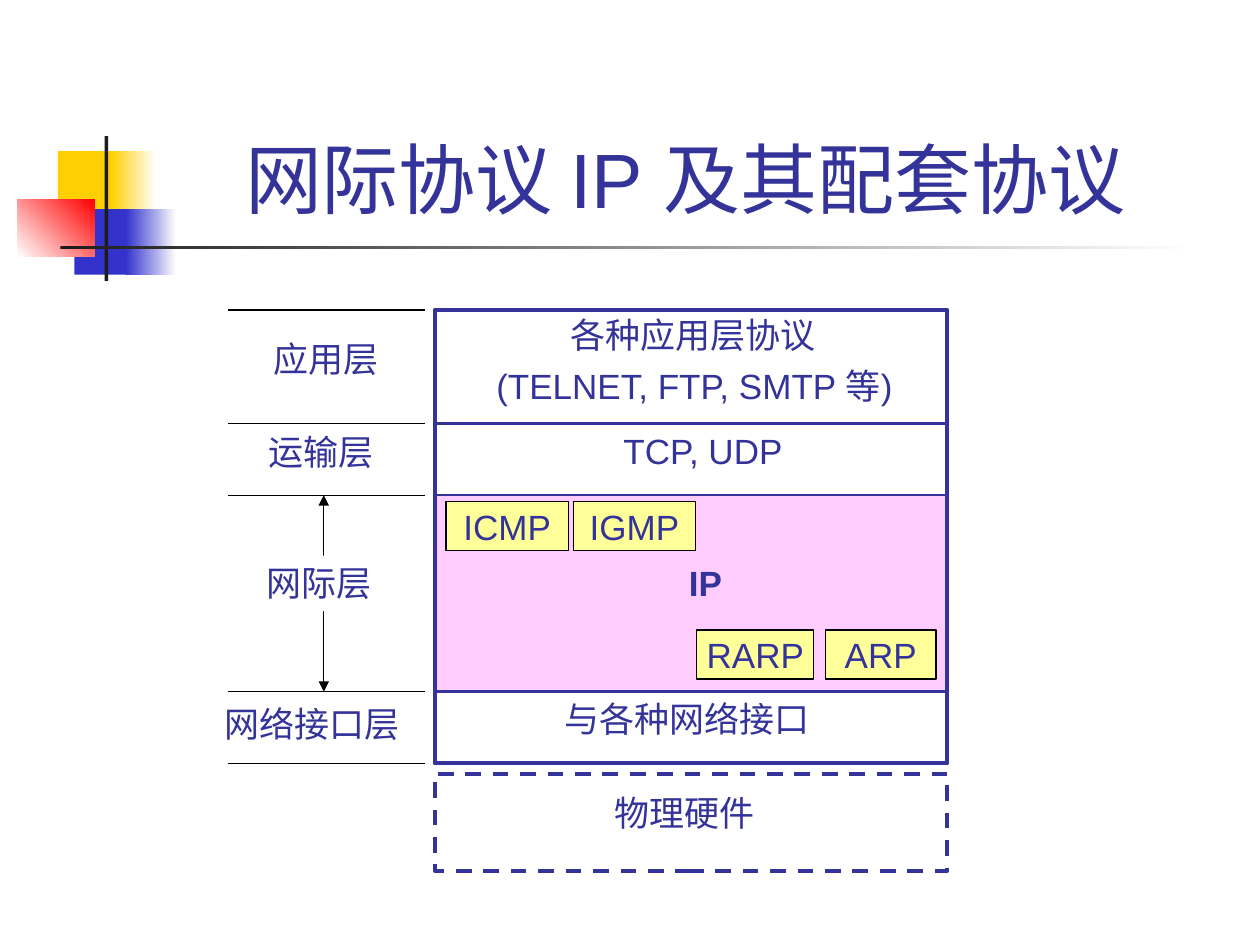
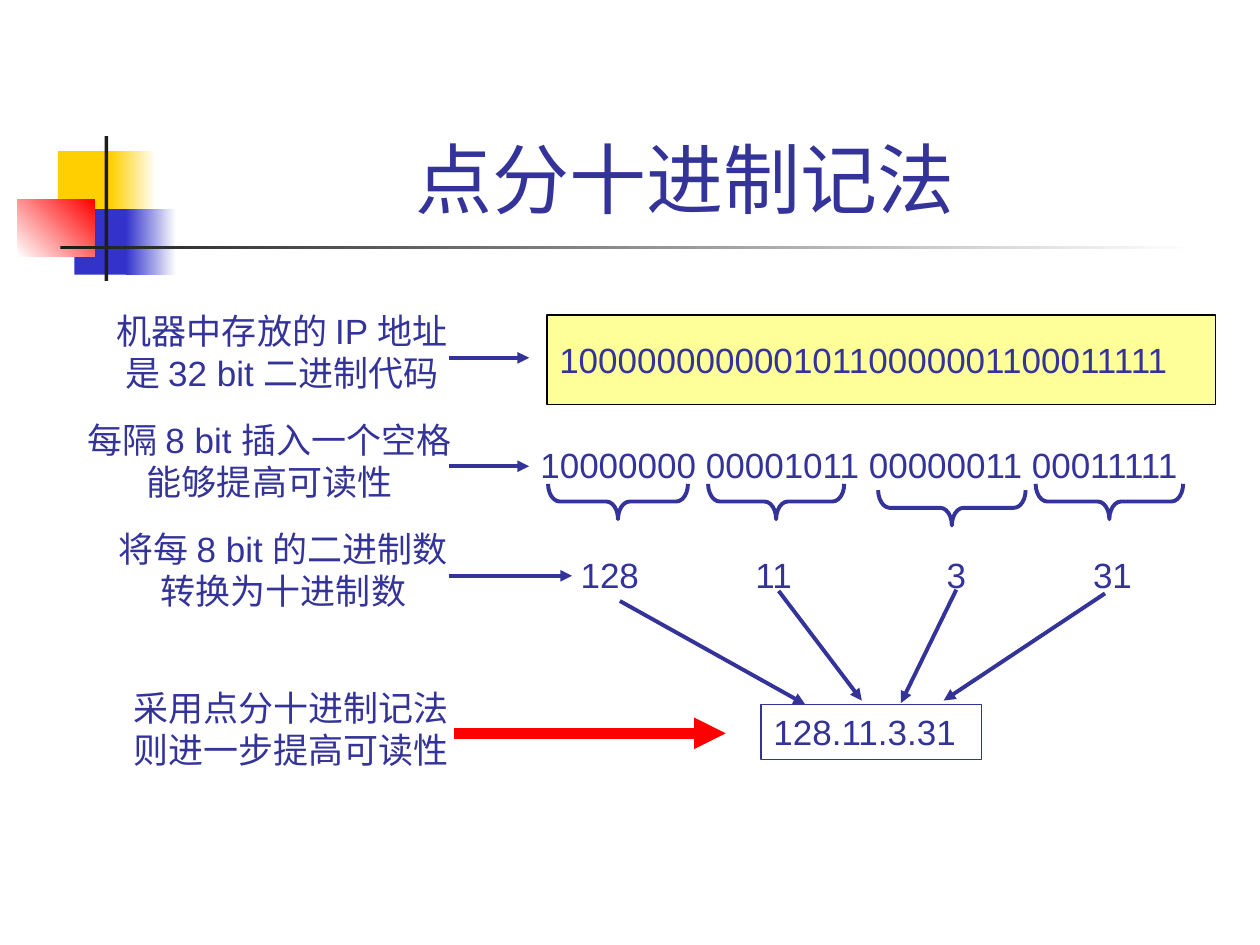
from dataclasses import dataclass

import pptx
import pptx.dml.color
import pptx.enum.dml
import pptx.enum.shapes
import pptx.enum.text
import pptx.oxml
import pptx.oxml.ns
import pptx.util
from pptx.util import Inches

SHAPE = pptx.enum.shapes.MSO_SHAPE
ALIGN = pptx.enum.text.PP_ALIGN
ANCHOR = pptx.enum.text.MSO_ANCHOR


@dataclass(frozen=True)
class Theme:
    """Colours, font and type sizes of the deck."""
    ink: str = "333399"
    black: str = "000000"
    white: str = "FFFFFF"
    charcoal: str = "1C1C1C"
    gold: str = "FFCF01"
    blue: str = "3333CC"
    red: str = "FF0000"
    pink: str = "FFCCFF"
    cream: str = "FFFF99"
    font: str = "Arial"
    title_size: int = 44
    body_size: int = 20
    thin: float = 0.75
    medium: float = 1.5
    thick: float = 2.25
    heavy: float = 6


@dataclass(frozen=True)
class Box:
    """A region in inches."""
    left: float
    top: float
    width: float
    height: float

    def inner(self, x, y, width, height):
        """Return a box placed relative to this one."""
        return Box(self.left + x, self.top + y, width, height)

    def inches(self):
        """Return left, top, width and height as lengths."""
        return [Inches(n) for n in (self.left, self.top, self.width, self.height)]


THEME = Theme()


def rgb(colour):
    """Turn a hex string into a colour."""
    return pptx.dml.color.RGBColor.from_string(colour)


def write(shape, text, align=ALIGN.LEFT, anchor=ANCHOR.TOP, size=THEME.body_size, bold=False):
    """Fill a shape with unwrapped text in the deck's style."""
    frame = shape.text_frame
    frame.word_wrap = False
    frame.auto_size = pptx.enum.text.MSO_AUTO_SIZE.NONE
    frame.vertical_anchor = anchor
    frame.text = text
    for paragraph in frame.paragraphs:
        paragraph.alignment = align
        paragraph.font.name = THEME.font
        paragraph.font.size = pptx.util.Pt(size)
        paragraph.font.bold = bold
        paragraph.font.color.rgb = rgb(THEME.ink)


def add_label(slide, box, text, **style):
    """Add a text box."""
    label = slide.shapes.add_textbox(*box.inches())
    write(label, text, **style)


def add_block(slide, box, fill=None, line=None, width=THEME.thin, kind=SHAPE.RECTANGLE):
    """Add a flat shape with an optional fill and outline."""
    block = slide.shapes.add_shape(kind, *box.inches())
    block.shadow.inherit = False
    if fill:
        block.fill.solid()
        block.fill.fore_color.rgb = rgb(fill)
    else:
        block.fill.background()
    if line:
        block.line.color.rgb = rgb(line)
        block.line.width = pptx.util.Pt(width)
    else:
        block.line.fill.background()
    return block


def add_fade(slide, box, start, end, angle=0):
    """Add a borderless block with a linear gradient."""
    block = add_block(slide, box)
    block.fill.gradient()
    block.fill.gradient_angle = angle
    for stop, colour in zip(block.fill.gradient_stops, (start, end)):
        stop.color.rgb = rgb(colour)


def add_line(slide, start, end, colour, width, arrows=()):
    """Add a straight line with arrowheads at the named ends."""
    points = [Inches(n) for n in (*start, *end)]
    line = slide.shapes.add_connector(pptx.enum.shapes.MSO_CONNECTOR.STRAIGHT, *points)
    line.line.color.rgb = rgb(colour)
    line.line.width = pptx.util.Pt(width)
    properties = line.element.spPr
    outline = properties.find(pptx.oxml.ns.qn("a:ln"))
    for tag in arrows:
        head = pptx.oxml.parse_xml(f'<a:{tag} {pptx.oxml.ns.nsdecls("a")} type="triangle"/>')
        outline.append(head)
    properties.append(pptx.oxml.parse_xml(f'<a:effectLst {pptx.oxml.ns.nsdecls("a")}/>'))


def draw_emblem(slide, box):
    """Draw the overlapping squares and the crossing bars."""
    add_block(slide, box.inner(0.32, 0.12, 0.48, 0.52), THEME.gold)
    add_fade(slide, box.inner(0.74, 0.12, 0.36, 0.52), THEME.gold, THEME.white)
    add_block(slide, box.inner(0.45, 0.58, 0.46, 0.52), THEME.blue)
    add_fade(slide, box.inner(0.86, 0.58, 0.4, 0.52), THEME.blue, THEME.white)
    add_fade(slide, box.inner(0, 0.5, 0.61, 0.46), THEME.white, THEME.red, 45)
    add_block(slide, box.inner(0.69, 0, 0.03, box.height), THEME.charcoal)
    add_fade(slide, box.inner(0.34, 0.87, 9, 0.03), THEME.charcoal, THEME.white)


def add_titled_slide(deck, text):
    """Add a title-only slide with the emblem and the styled title."""
    slide = deck.slides.add_slide(deck.slide_layouts[5])
    draw_emblem(slide, Box(0.14, 1.08, 9.34, 1.15))
    title = slide.shapes.title
    title.left, title.top, title.width, title.height = Box(1.18, 0.23, 8.52, 1.6).inches()
    write(title, text, ALIGN.CENTER, ANCHOR.BOTTOM, THEME.title_size)
    title.text_frame.word_wrap = True
    return slide


LAYER_EDGES = (0, 0.9, 1.47, 3.03, 3.6)


def draw_layer_names(slide, box):
    """Draw the layer names between their thin rules."""
    for edge in LAYER_EDGES:
        y = box.top + edge
        add_line(slide, (box.left, y), (box.left + box.width, y), THEME.black, THEME.thin)
    x = box.left + 0.76
    add_line(slide, (x, box.top + LAYER_EDGES[2]), (x, box.top + LAYER_EDGES[3]),
             THEME.black, THEME.thin, ("headEnd", "tailEnd"))
    add_block(slide, box.inner(0.21, 1.95, 1.03, 0.44), THEME.white)
    names = (("应用层", 0.26, 0.17, 1.03), ("运输层", 0.22, 0.91, 1.03),
             ("网际层", 0.21, 1.95, 1.03), ("网络接口层", -0.13, 3.07, 1.59))
    for name, left, top, width in names:
        add_label(slide, box.inner(left, top, width, 0.44), name)


def draw_protocol_stack(slide, box):
    """Draw the protocols of each layer and the hardware below."""
    internet_top, internet_bottom = LAYER_EDGES[2:4]
    add_block(slide, box.inner(0, internet_top, box.width, internet_bottom - internet_top), THEME.pink)
    add_block(slide, box, line=THEME.ink, width=THEME.thick)
    for edge in LAYER_EDGES[1:-1]:
        y = box.top + edge
        add_line(slide, (box.left, y), (box.left + box.width, y), THEME.ink, THEME.medium)
    hardware = add_block(slide, box.inner(0, 3.68, box.width, 0.77), THEME.white, THEME.ink, THEME.thick)
    hardware.line.dash_style = pptx.enum.dml.MSO_LINE.DASH

    captions = (("各种应用层协议", 0.98, -0.02, 2.15), ("(TELNET, FTP, SMTP 等)", 0.39, 0.38, 3.55),
                ("TCP, UDP", 1.4, 0.9, 1.5), ("与各种网络接口", 0.93, 3.03, 2.15),
                ("物理硬件", 1.33, 3.77, 1.31))
    for caption, left, top, width in captions:
        add_label(slide, box.inner(left, top, width, 0.44), caption)
    add_label(slide, box.inner(1.92, 1.95, 0.46, 0.44), "IP", bold=True)

    companions = (("ICMP", 0.09, 1.52, 0.97), ("IGMP", 1.1, 1.52, 0.97),
                  ("RARP", 2.08, 2.54, 0.93), ("ARP", 3.1, 2.54, 0.88))
    for name, left, top, width in companions:
        companion = add_block(slide, box.inner(left, top, width, 0.39), THEME.cream, THEME.black)
        write(companion, name, ALIGN.CENTER, ANCHOR.MIDDLE)


def draw_steps(slide, box):
    """Draw the explanation of each step and its arrow."""
    steps = (("机器中存放的 IP 地址\n是 32 bit 二进制代码", 0.23, 0, 2.96, 0.64),
             ("每隔 8 bit 插入一个空格\n能够提高可读性", 0, 0.86, 3.22, 0.64),
             ("将每 8 bit 的二进制数\n转换为十进制数", 0.25, 1.73, 2.94, 0.98))
    for step, left, top, width, reach in steps:
        add_label(slide, box.inner(left, top, width, 0.77), step, align=ALIGN.CENTER)
        x, y = box.left + 3.03, box.top + top + 0.43
        add_line(slide, (x, y), (x + reach, y), THEME.ink, THEME.thick, ["tailEnd"])
    add_label(slide, box.inner(0.43, 2.99, 2.7, 0.77), "采用点分十进制记法\n则进一步提高可读性")
    x, y = box.left + 3.07, box.top + 3.41
    add_line(slide, (x, y), (x + 2.16, y), THEME.red, THEME.heavy, ["tailEnd"])


def draw_brace(slide, box):
    """Draw a downward brace that spans the box."""
    upright = box.inner((box.width - box.height) / 2, (box.height - box.width) / 2, box.height, box.width)
    brace = add_block(slide, upright, line=THEME.ink, width=THEME.thick, kind=SHAPE.LEFT_BRACE)
    brace.adjustments[0] = 0.33
    brace.rotation = 270


def draw_conversion(slide, box):
    """Draw the address from binary code to dotted decimal."""
    code = add_block(slide, box.inner(0.15, 0, 5.31, 0.71), THEME.cream, THEME.black)
    write(code, "10000000000010110000001100011111", anchor=ANCHOR.MIDDLE)
    add_label(slide, box.inner(0, 0.97, 5.46, 0.44), "10000000 00001011 00000011 00011111")

    braces = ((0.16, 1.34, 1.11), (1.43, 1.34, 1.08), (2.78, 1.39, 1.17), (4.03, 1.34, 1.17))
    decimals = (("128", 0.65), ("11", 1.95), ("3", 3.4), ("31", 4.64))
    arrows = (((0.73, 2.27), (2.2, 3.09)), ((1.99, 2.19), (2.65, 3.06)),
              ((3.4, 2.18), (2.96, 3.08)), ((4.58, 2.21), (3.3, 3.06)))
    for (left, top, width), (decimal, centre), ends in zip(braces, decimals, arrows):
        draw_brace(slide, box.inner(left, top, width, 0.28))
        add_label(slide, box.inner(centre - 0.35, 1.84, 0.7, 0.44), decimal, align=ALIGN.CENTER)
        start, end = [(box.left + x, box.top + y) for x, y in ends]
        add_line(slide, start, end, THEME.ink, THEME.thick, ["tailEnd"])

    address = add_block(slide, box.inner(1.85, 3.09, 1.75, 0.44), line=THEME.ink)
    write(address, "128.11.3.31")


def main():
    """Build and save the deck."""
    deck = pptx.Presentation()
    deck.slide_width, deck.slide_height = Inches(10), Inches(7.5)

    protocols = add_titled_slide(deck, "网际协议 IP 及其配套协议")
    draw_protocol_stack(protocols, Box(3.45, 2.46, 4.07, 3.6))
    draw_layer_names(protocols, Box(1.81, 2.46, 1.56, 3.6))

    notation = add_titled_slide(deck, "点分十进制记法")
    draw_steps(notation, Box(0.53, 2.41, 5.23, 3.76))
    draw_conversion(notation, Box(4.19, 2.5, 5.46, 3.53))

    deck.save("out.pptx")


if __name__ == "__main__":
    main()
